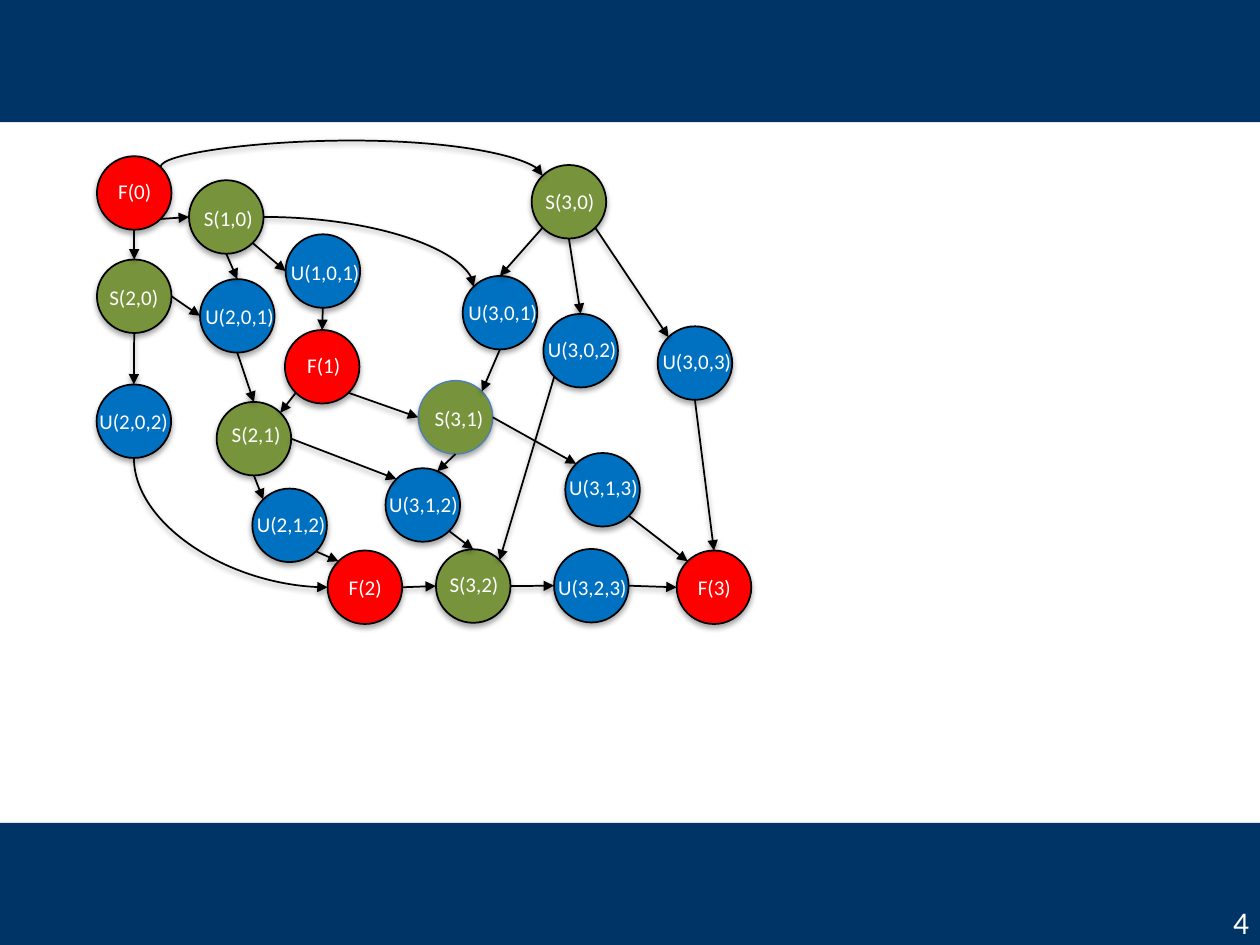
from math import cos, radians, sin

from lxml.etree import SubElement
from pptx import Presentation
from pptx.dml.color import RGBColor
from pptx.enum.shapes import MSO_CONNECTOR, MSO_SHAPE
from pptx.enum.text import PP_ALIGN
from pptx.oxml.ns import qn
from pptx.util import Pt

NAVY = RGBColor(0x00, 0x33, 0x66)
RED = RGBColor(0xFF, 0x00, 0x00)
GREEN = RGBColor(0x77, 0x93, 0x3C)
BLUE = RGBColor(0x00, 0x70, 0xC0)
OUTLINE_BLUE = RGBColor(0x4B, 0x7E, 0xBC)
BLACK = RGBColor(0x00, 0x00, 0x00)
WHITE = RGBColor(0xFF, 0xFF, 0xFF)

NODE_WIDTH, NODE_HEIGHT = 42.6, 42
NODE_STYLES = {"F": (RED, 36), "S": (GREEN, 49), "U": (BLUE, 57)}
NODES = {
    "F(0)": (55.4, 89.3, 60.5, 98.6),
    "S(1,0)": (108, 103, 109.4, 113.8),
    "U(1,0,1)": (163.2, 133.9, 159.1, 144.7),
    "U(2,0,1)": (114.3, 159.5, 110.2, 169.9),
    "U(3,0,1)": (264.4, 157.7, 260.6, 167.8),
    "F(1)": (162.8, 188.6, 168.5, 198),
    "S(2,1)": (123.8, 229.7, 125.3, 237.6),
    "U(2,1,2)": (144.2, 279.2, 139.7, 288.7),
    "U(3,1,2)": (220.3, 267.6, 215.3, 277.2),
    "F(2)": (187.2, 314.6, 192.2, 324.7),
    "S(3,2)": (249.1, 313.9, 249.8, 323.3),
    "U(3,2,3)": (316.6, 313.7, 311.8, 324.7),
    "F(3)": (386.7, 314.6, 391.7, 324.7),
    "S(2,0)": (55.4, 148.3, 55.4, 159.1),
    "S(3,0)": (303.8, 94.3, 304.6, 104.4),
    "U(2,0,2)": (55.2, 219.7, 49.7, 229.7),
    "U(3,0,2)": (310.5, 179.4, 306, 188.6),
    "U(3,0,3)": (375.8, 186.5, 371.5, 195.8),
    "S(3,1)": (239, 217.5, 241.2, 228.2),
    "U(3,1,3)": (323, 258.9, 318.2, 267.8),
}
SIDES = {"E": 0, "SE": 45, "S": 90, "SW": 135, "W": 180,
         "NW": 225, "N": 270, "NNE": 293, "NE": 315}
STRAIGHT_EDGES = [
    ("F(0)", "SE", "S(1,0)", "W"),
    ("S(1,0)", "S", "U(2,0,1)", "N"),
    ("S(1,0)", "SE", "U(1,0,1)", "W"),
    ("S(3,0)", "SW", "U(3,0,1)", "N"),
    ("U(1,0,1)", "S", "F(1)", "N"),
    ("F(1)", "SW", "S(2,1)", "NE"),
    ("S(2,1)", "S", "U(2,1,2)", "NW"),
    ("S(2,1)", "E", "U(3,1,2)", "NW"),
    ("U(2,1,2)", "SE", "F(2)", "NW"),
    ("F(2)", "E", "S(3,2)", "W"),
    ("S(3,2)", "E", "U(3,2,3)", "W"),
    ("U(3,2,3)", "E", "F(3)", "W"),
    ("U(2,0,1)", "S", "S(2,1)", "N"),
    ("U(3,1,2)", "SE", "S(3,2)", "N"),
    ("F(0)", "S", "S(2,0)", "N"),
    ("S(2,0)", "E", "U(2,0,1)", "W"),
    ("S(2,0)", "S", "U(2,0,2)", "N"),
    ("S(3,0)", "S", "U(3,0,2)", "N"),
    ("U(3,0,3)", "S", "F(3)", "N"),
    ("F(1)", "SE", "S(3,1)", "W"),
    ("S(3,0)", "SE", "U(3,0,3)", "NW"),
    ("S(3,1)", "S", "U(3,1,2)", "NNE"),
    ("S(3,1)", "E", "U(3,1,3)", "NW"),
    ("U(3,1,3)", "SE", "F(3)", "NW"),
    ("U(3,0,1)", "S", "S(3,1)", "NE"),
    ("U(3,0,2)", "SW", "S(3,2)", "NE"),
]
CURVED_EDGES = [
    ("U(2,0,2)", "S", "F(2)", "W", "curvedConnector2", True, None),
    ("F(0)", "NE", "S(3,0)", "NW", "curvedConnector3", True, -303200),
    ("S(1,0)", "E", "U(3,0,1)", "NW", "curvedConnector2", False, None),
]
EDGES = [edge + (None, False, None) for edge in STRAIGHT_EDGES] + CURVED_EDGES


def add_shadow(item, distance, alpha):
    effects = SubElement(item._element.spPr, qn("a:effectLst"))
    shadow = SubElement(effects, qn("a:outerShdw"), blurRad="40000",
                        dist=str(distance), dir="5400000", rotWithShape="0")
    color = SubElement(shadow, qn("a:srgbClr"), val=str(BLACK))
    SubElement(color, qn("a:alpha"), val=str(alpha))


def add_label(page, text, left, top, width, height, size, align):
    box = page.shapes.add_textbox(Pt(left), Pt(top), Pt(width), Pt(height))
    box.text_frame.word_wrap = True
    para = box.text_frame.paragraphs[0]
    para.alignment = align
    span = para.add_run()
    span.text = text
    span.font.name = "Calibri"
    span.font.size = Pt(size)
    span.font.color.rgb = WHITE


deck = Presentation()
deck.slide_width, deck.slide_height = Pt(720), Pt(540)
page = deck.slides.add_slide(deck.slide_layouts[6])

for top, height in [(0, 69.8), (470.2, 72)]:
    band = page.shapes.add_shape(MSO_SHAPE.RECTANGLE, 0, Pt(top), Pt(720), Pt(height))
    band.fill.solid()
    band.fill.fore_color.rgb = NAVY
    band.line.fill.background()
    band.shadow.inherit = False
add_label(page, "4", 553, 512.6, 167.8, 28.8, 18, PP_ALIGN.RIGHT)

for name, (left, top, label_left, label_top) in NODES.items():
    fill, label_width = NODE_STYLES[name[0]]
    node = page.shapes.add_shape(MSO_SHAPE.OVAL, Pt(left), Pt(top),
                                 Pt(NODE_WIDTH), Pt(NODE_HEIGHT))
    node.fill.solid()
    node.fill.fore_color.rgb = fill
    node.line.color.rgb = OUTLINE_BLUE if name == "S(3,1)" else BLACK
    node.line.width = Pt(0.75 if name == "S(3,1)" else 1)
    add_shadow(node, 23000, 35000)
    add_label(page, name, label_left, label_top, label_width, 21.6, 12, PP_ALIGN.LEFT)

for source, source_side, target, target_side, curve, turned, bend in EDGES:
    ends = []
    for name, side in [(source, source_side), (target, target_side)]:
        angle = radians(SIDES[side])
        ends.append(NODES[name][0] + NODE_WIDTH / 2 * (1 + cos(angle)))
        ends.append(NODES[name][1] + NODE_HEIGHT / 2 * (1 + sin(angle)))
    x1, y1, x2, y2 = ends
    if turned:
        middle_x, middle_y = (x1 + x2) / 2, (y1 + y2) / 2
        half_width, half_height = (y2 - y1) / 2, (x2 - x1) / 2
        x1, x2 = middle_x - half_width, middle_x + half_width
        y1, y2 = middle_y - half_height, middle_y + half_height
    kind = MSO_CONNECTOR.CURVE if curve else MSO_CONNECTOR.STRAIGHT
    edge = page.shapes.add_connector(kind, Pt(x1), Pt(y1), Pt(x2), Pt(y2))
    edge.line.color.rgb = BLACK
    edge.line.width = Pt(1)
    properties = edge._element.spPr
    SubElement(properties.find(qn("a:ln")), qn("a:tailEnd"), type="triangle")
    if curve:
        geometry = properties.find(qn("a:prstGeom"))
        geometry.set("prst", curve)
    if turned:
        frame = properties.find(qn("a:xfrm"))
        frame.set("rot", "16200000")
        frame.set("flipH", "1")
    if bend:
        SubElement(geometry.find(qn("a:avLst")), qn("a:gd"),
                   name="adj1", fmla=f"val {bend}")
    add_shadow(edge, 20000, 38000)

deck.save("out.pptx")
